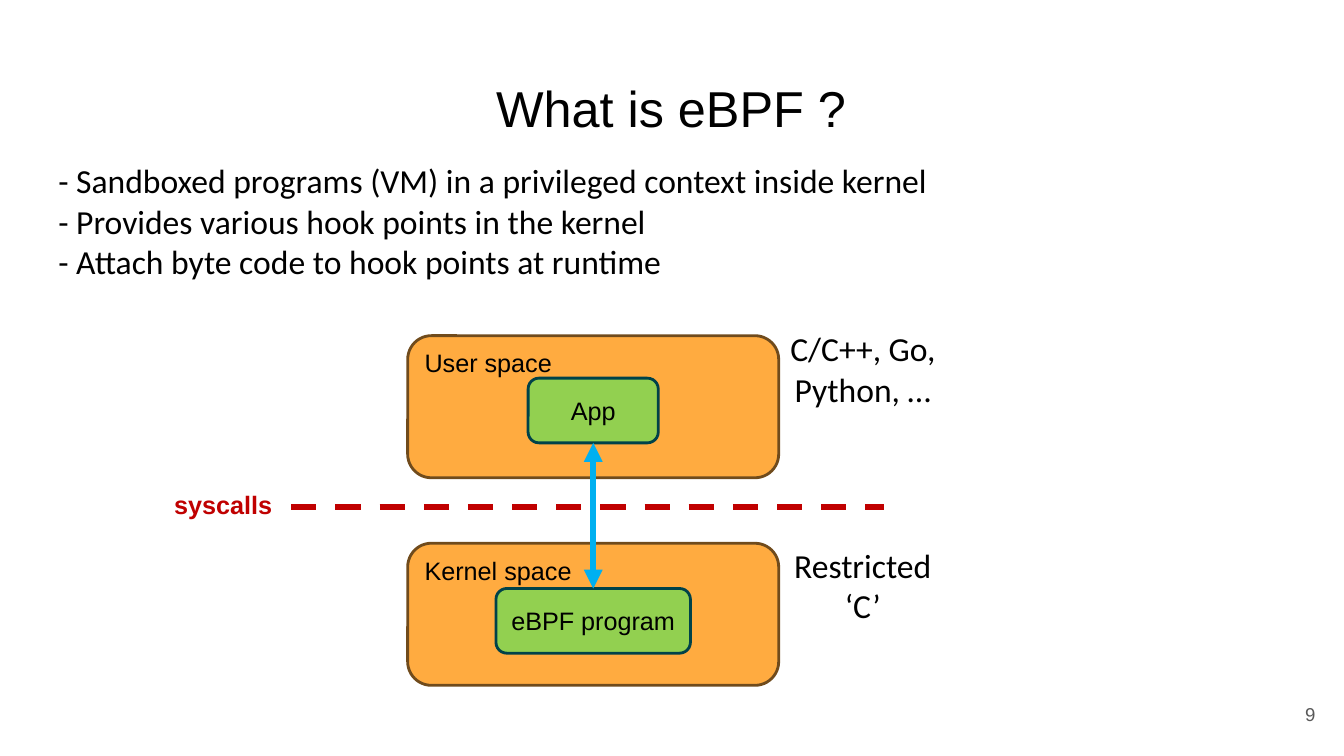
from dataclasses import dataclass

from lxml.etree import SubElement
from pptx import Presentation
from pptx.dml.color import RGBColor
from pptx.enum.dml import MSO_LINE
from pptx.enum.shapes import MSO_CONNECTOR, MSO_SHAPE
from pptx.enum.text import MSO_ANCHOR, PP_ALIGN
from pptx.oxml.ns import qn
from pptx.util import Cm, Pt


@dataclass(frozen=True)
class Theme:
    ink: str = "000000"
    gray: str = "595959"
    orange: str = "FFAB40"
    brown: str = "704B1C"
    green: str = "92D050"
    teal: str = "004249"
    blue: str = "00B0F0"
    red: str = "C00000"
    sans: str = "Arial"
    body: str = "Calibri"
    title: float = 36
    large: float = 24
    label: float = 18
    small: float = 13.3
    edge: float = 2
    stroke: float = 4.5


theme = Theme()
LEFT, MID, RIGHT = PP_ALIGN.LEFT, PP_ALIGN.CENTER, PP_ALIGN.RIGHT


def write(shape, lines, size, align=MID, face=theme.sans, color=theme.ink,
          anchor=MSO_ANCHOR.MIDDLE, bold=False):
    """Put one paragraph per line into the shape, all in one format."""
    frame = shape.text_frame
    frame.word_wrap = True
    frame.vertical_anchor = anchor
    frame.text = "\n".join(lines)
    form = {"name": face, "size": Pt(size), "bold": bold}
    for para in frame.paragraphs:
        para.alignment = align
        font = para.runs[0].font
        for key, value in form.items():
            setattr(font, key, value)
        font.color.rgb = RGBColor.from_string(color)


def add_box(place, fill, edge):
    """Add a round-cornered box with a flat fill and an outline."""
    box = shapes.add_shape(MSO_SHAPE.ROUNDED_RECTANGLE, *map(Cm, place))
    box.shadow.inherit = False
    box.fill.solid()
    box.fill.fore_color.rgb = RGBColor.from_string(fill)
    box.line.color.rgb = RGBColor.from_string(edge)
    box.line.width = Pt(theme.edge)
    return box


deck = Presentation()
deck.slide_width, deck.slide_height = Cm(33.87), Cm(19.05)
slide = deck.slides.add_slide(deck.slide_layouts[6])
shapes = slide.shapes

# Plain text: place, lines, format
points = [
    "- Sandboxed programs (VM) in a privileged context inside kernel",
    "- Provides various hook points in the kernel",
    "- Attach byte code to hook points at runtime",
]
side = {"size": theme.large, "face": theme.body}
texts = [
    ((1.14, 1.65, 31.55, 2.13), ["What is eBPF ?"], {"size": theme.title}),
    ((31.37, 17.27, 2.03, 1.45), ["9"],
     {"size": theme.small, "align": RIGHT, "color": theme.gray}),
    ((1.22, 3.91, 31.98, 3.33), points,
     {**side, "align": LEFT, "anchor": MSO_ANCHOR.TOP}),
    ((3.48, 12.01, 4.29, 1.4), ["syscalls"],
     {"size": theme.label, "color": theme.red, "bold": True}),
    ((19.6, 8.59, 4.29, 1.4), ["C/C++, Go, Python, …"], side),
    ((19.6, 14.05, 4.29, 1.4), ["Restricted ‘C’"], side),
]
for place, lines, form in texts:
    write(shapes.add_textbox(*map(Cm, place)), lines, **form)

# Each space is a panel that holds one program, centred on the axis
axis, panel_w, panel_h, prog_h = 14.95, 9.35, 3.58, 1.63
app_top, hook_top = 9.53, 14.83
spaces = [
    ("User space", 8.46, "App", app_top, 3.28),
    ("Kernel space", 13.69, "eBPF program", hook_top, 4.9),
]
for space, top, prog, prog_top, prog_w in spaces:
    panel = add_box((axis - panel_w / 2, top, panel_w, panel_h),
                    theme.orange, theme.brown)
    write(panel, [space], theme.label, LEFT, anchor=MSO_ANCHOR.TOP)
    inner = add_box((axis - prog_w / 2, prog_top, prog_w, prog_h),
                    theme.green, theme.teal)
    write(inner, [prog], theme.label)

# Two-way arrow between the programs, and the dashed syscall border
strokes = [
    ((axis, app_top + prog_h, axis, hook_top), theme.blue, None, True),
    ((7.34, 12.78, 22.28, 12.78), theme.red, MSO_LINE.DASH, False),
]
for ends, color, dash, heads in strokes:
    link = shapes.add_connector(MSO_CONNECTOR.STRAIGHT, *map(Cm, ends))
    link.line.color.rgb = RGBColor.from_string(color)
    link.line.width = Pt(theme.stroke)
    props = link.element.spPr
    if dash:
        link.line.dash_style = dash
    if heads:
        for tag in ("a:headEnd", "a:tailEnd"):
            SubElement(props.find(qn("a:ln")), qn(tag), type="triangle")
    SubElement(props, qn("a:effectLst"))

deck.save("out.pptx")
